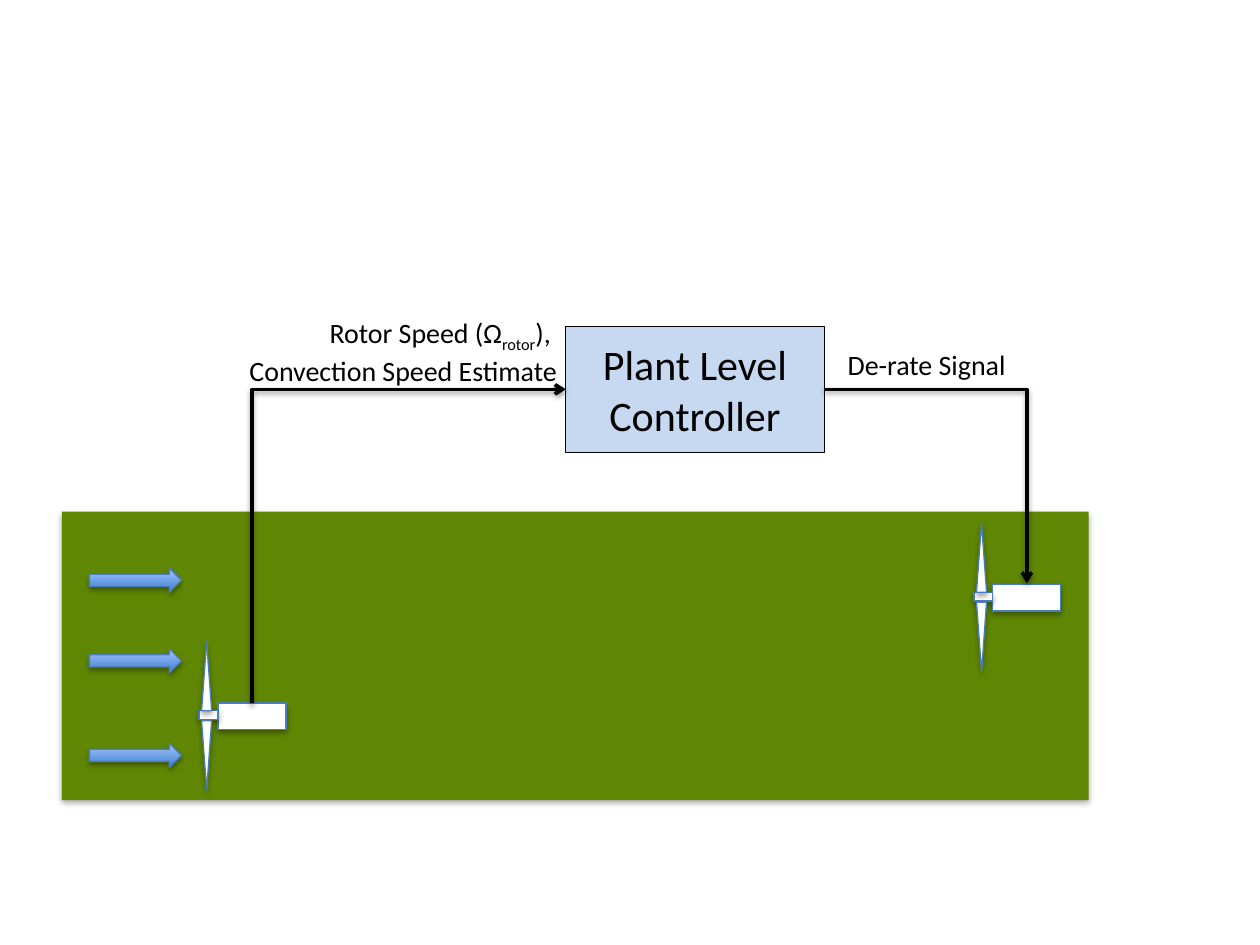
"""Build the wind plant control diagram slide."""
from lxml import etree
from pptx import Presentation
from pptx.dml.color import RGBColor
from pptx.enum import shapes as es, text as et
from pptx.oxml import ns
from pptx.util import Inches, Pt

KIND = es.MSO_SHAPE
ALIGN = et.PP_ALIGN


def draw(home, kind, box, fill, edge=None, width=0.75):
    shape = home.add_shape(kind, *map(Inches, box))
    if fill:
        shape.fill.solid()
        shape.fill.fore_color.rgb = RGBColor.from_string(fill)
    if edge:
        shape.line.color.rgb = RGBColor.from_string(edge)
        shape.line.width = Pt(width)
    else:
        shape.line.fill.background()
    return shape


def style(frame, size, align):
    frame.word_wrap = True
    frame.vertical_anchor = et.MSO_ANCHOR.MIDDLE
    for para in frame.paragraphs:
        para.alignment = align
        for run in para.runs:
            run.font.size = Pt(size)
            run.font.name = "Calibri"
            run.font.color.rgb = RGBColor.from_string("000000")


deck = Presentation()
deck.slide_width, deck.slide_height = Inches(10), Inches(7.5)
slide = deck.slides.add_slide(deck.slide_layouts[6])
items = slide.shapes

draw(items, KIND.RECTANGLE, (0.49, 4.06, 8.15, 2.29), "5F8704")

for left, top in ((1.58, 5.09), (7.73, 4.15)):
    group = items.add_group_shape().shapes
    parts = (
        (KIND.RECTANGLE, 0.15, 0.49, 0.54, 0.21, 0),
        (KIND.RECTANGLE, 0, 0.55, 0.15, 0.07, 0),
        (KIND.ISOSCELES_TRIANGLE, 0.02, 0, 0.08, 0.55, 0),
        (KIND.ISOSCELES_TRIANGLE, 0.02, 0.63, 0.08, 0.55, 180),
    )
    for kind, dx, dy, wide, high, turn in parts:
        part = draw(group, kind, (left + dx, top + dy, wide, high), "FFFFFF", "4B7EBC")
        part.rotation = turn

for top in (4.51, 5.15, 5.9):
    wind = draw(items, KIND.RIGHT_ARROW, (0.71, top, 0.73, 0.19), None, "4B7EBC")
    wind.fill.gradient()
    wind.fill.gradient_angle = 90
    for stop, spot, color in zip(wind.fill.gradient_stops, (0, 1), ("3F80CE", "A4C4FF")):
        stop.position = spot
        stop.color.rgb = RGBColor.from_string(color)

plant = draw(items, KIND.RECTANGLE, (4.49, 2.59, 2.05, 1), "C6D9F1", "000000", 0.5)
plant.shadow.inherit = False
plant.text_frame.text = "Plant Level Controller"
style(plant.text_frame, 24, ALIGN.CENTER)

for ends, turn in (((4.49, 5.58, 2, 3.09), 90), ((6.54, 3.09, 8.15, 4.63), 0)):
    wire = items.add_connector(es.MSO_CONNECTOR.ELBOW, *map(Inches, ends))
    wire.line.color.rgb = RGBColor.from_string("000000")
    wire.line.width = Pt(2)
    props = wire._element.spPr
    props.find(ns.qn("a:prstGeom")).set("prst", "bentConnector2")
    props.find(ns.qn("a:xfrm")).set("rot", str(turn * 60000))
    etree.SubElement(props.find(ns.qn("a:ln")), ns.qn("a:tailEnd"), type="arrow")

speed = items.add_textbox(*map(Inches, (1.38, 2.29, 3.14, 1))).text_frame
rotor = speed.paragraphs[0]
for word in ("Rotor Speed (Ω", "rotor", "), "):
    rotor.add_run().text = word
rotor.runs[1].font._element.set("baseline", "-25000")
speed.add_paragraph().text = "Convection Speed Estimate"
style(speed, 16, ALIGN.RIGHT)

signal = items.add_textbox(*map(Inches, (6.23, 2.55, 1.9, 0.69))).text_frame
signal.text = "De-rate Signal "
style(signal, 16, ALIGN.RIGHT)

deck.save("out.pptx")
